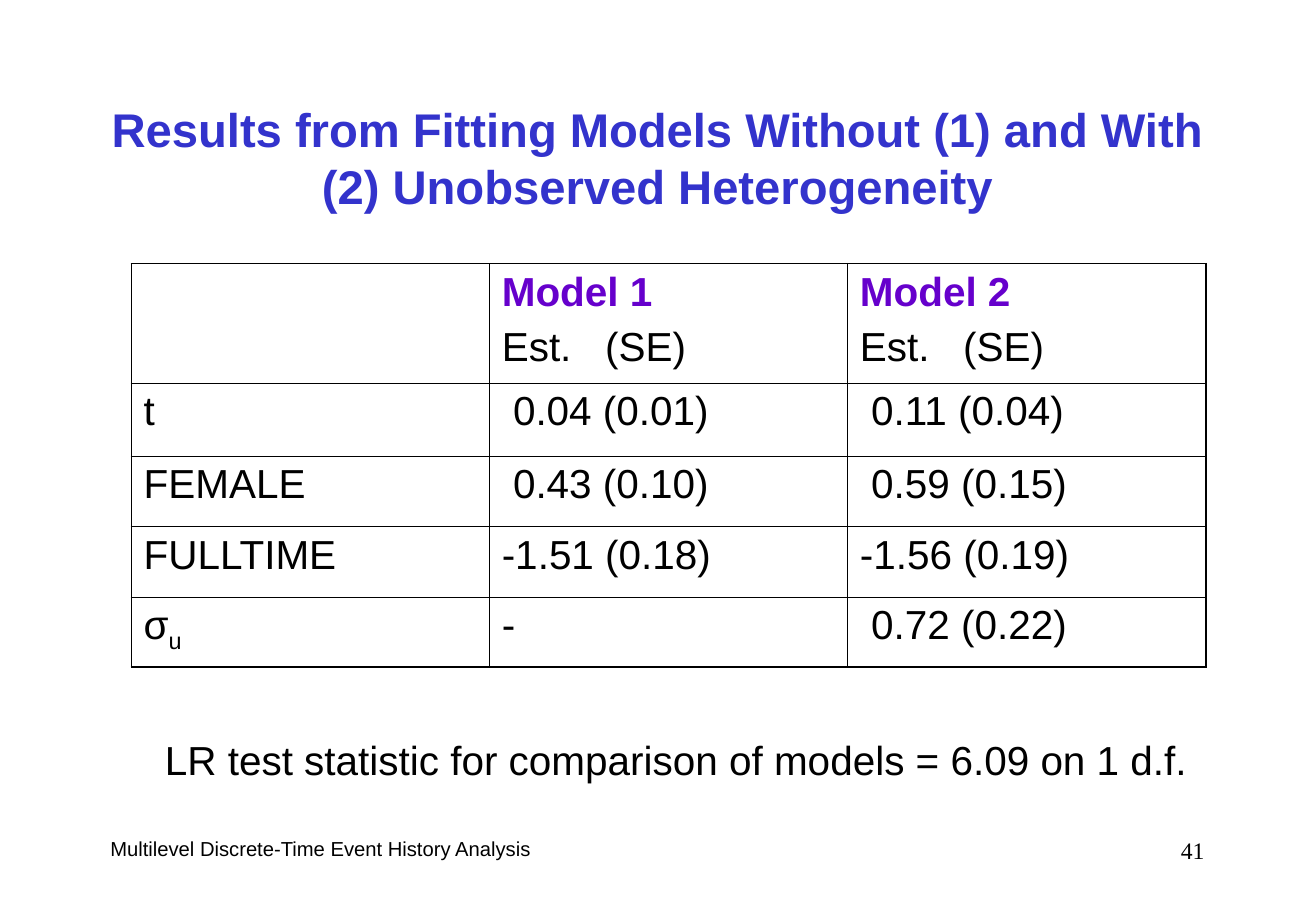
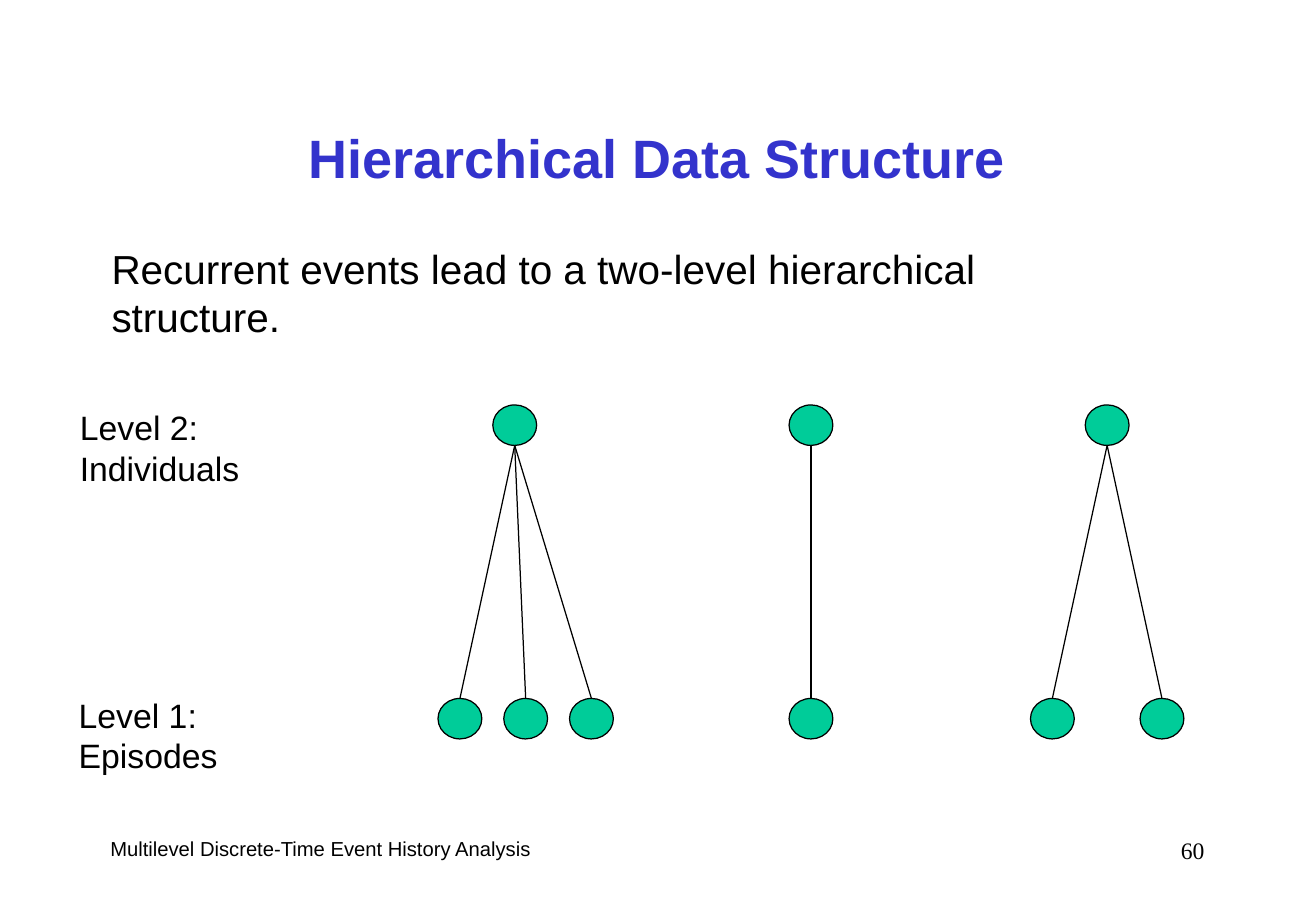
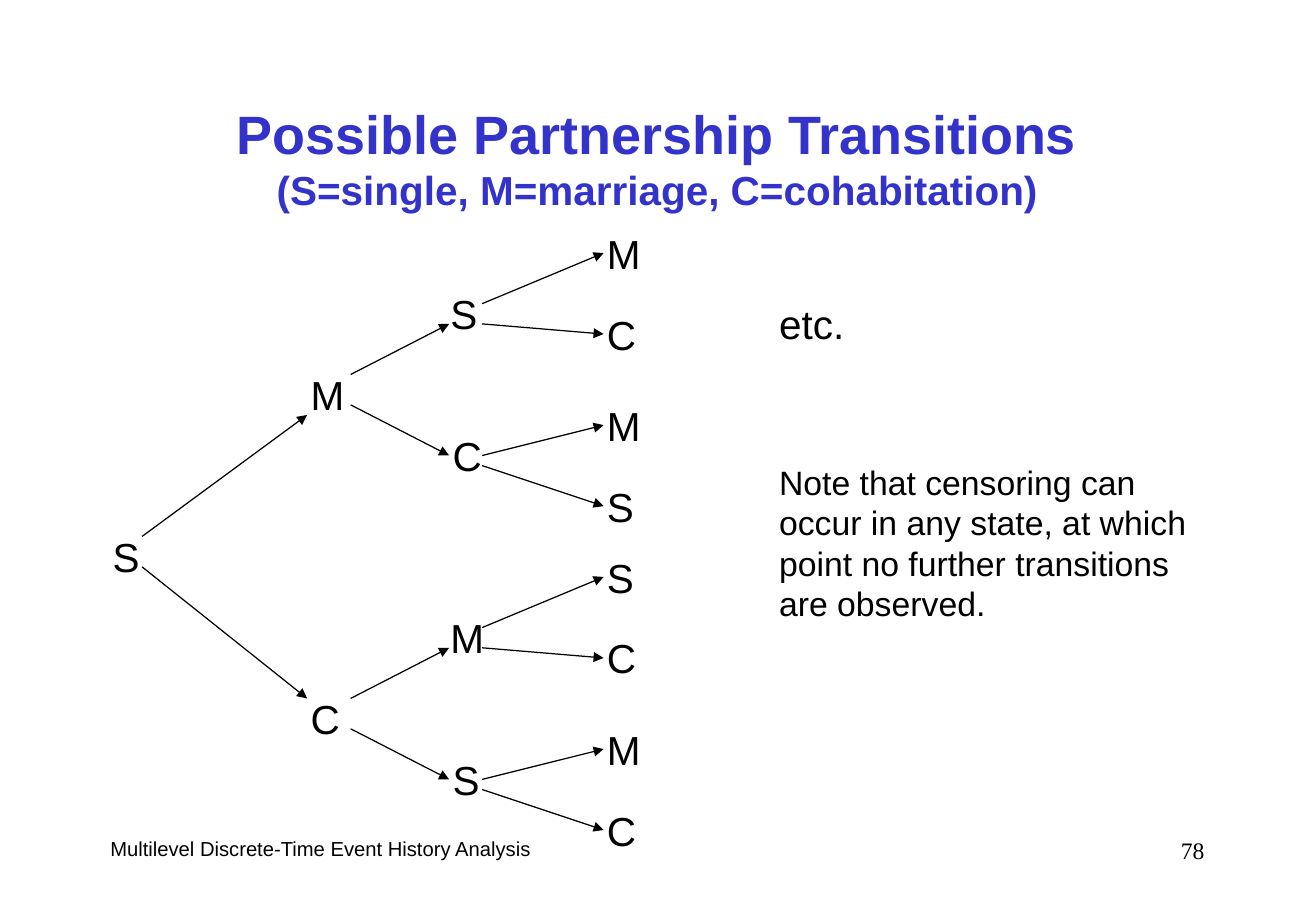
"""Build three slides on multilevel discrete-time event history analysis."""
from dataclasses import dataclass
from typing import Any, NamedTuple

from lxml import etree
from pptx import Presentation
from pptx import slide as sl
from pptx.dml.color import RGBColor
from pptx.enum import shapes, text
from pptx.oxml import ns
from pptx.util import Pt

BLACK = RGBColor(0x00, 0x00, 0x00)
BLUE = RGBColor(0x33, 0x33, 0xCC)
PURPLE = RGBColor(0x66, 0x00, 0xCC)
GREEN = RGBColor(0x00, 0xCC, 0x99)
LEFT, MID, RIGHT = text.PP_ALIGN.LEFT, text.PP_ALIGN.CENTER, text.PP_ALIGN.RIGHT
INSET = {"margin_left": Pt(7.2), "margin_right": Pt(7.2),
         "margin_top": Pt(3.6), "margin_bottom": Pt(3.6)}
THIN, THICK = 0.45, 1.08


class Style(NamedTuple):
    """Look of a run of text."""
    size: float
    color: RGBColor = BLACK
    bold: bool = False
    font: str = "Arial"
    base: int = 0


class Box(NamedTuple):
    """Left, top, width and height in points."""
    left: float
    top: float
    width: float
    height: float


class Run(NamedTuple):
    """Words with one style."""
    words: str
    style: Style


class Arrow(NamedTuple):
    """Start and end of an arrow in points."""
    x1: float
    y1: float
    x2: float
    y2: float


@dataclass(frozen=True)
class Label:
    """Words in a box of their own."""
    words: str
    box: Box
    style: Style
    align: Any = LEFT
    wrap: bool = True


@dataclass(frozen=True)
class Branch:
    """Upper or lower half of the transition tree."""
    top: float
    root: str
    mids: str
    leaves: str


@dataclass(frozen=True)
class Person:
    """An individual and the offsets of the episodes below."""
    x: float
    kids: tuple[float, ...]


BODY, NOTE = Style(24), Style(20)
HEAD = Style(32, BLUE, True)
SMALL = Style(24, BLUE, True)
MODEL = Style(24, PURPLE, True)
TITLE = Box(58.32, 48, 663, 90)
FOOT = Label("Multilevel Discrete-Time Event History Analysis",
             Box(58.32, 492, 455, 36), Style(12))
PAGE = Box(558.72, 492, 162.72, 36)

WIDTHS = (212.4, 212.4, 212.4)
HEIGHTS = (70.56, 43.2, 41.76, 41.76, 41.76)
EST = [[Run("Model {}", MODEL)], [Run("Est.   (SE)", BODY)]]
ROWS = (
    ("t", " 0.04 (0.01)", " 0.11 (0.04)"),
    ("FEMALE", " 0.43 (0.10)", " 0.59 (0.15)"),
    ("FULLTIME", "-1.51 (0.18)", "-1.56 (0.19)"),
    ("σ", "-", " 0.72 (0.22)"),
)

DOT_W, DOT_H, UPPER, LOWER = 26, 24, 240, 414
PEOPLE = (Person(305.28, (-32.5, 6.5, 45.5)), Person(480.96, (0,)),
          Person(656.64, (-32.5, 32.5)))

WIDE = {"S": 30.24, "C": 31.68, "M": 34.56}
MIDS = ((260, -48), (261.4, 36))
LEAVES = (-84, -36, 18, 66)
ARROWS = (
    Arrow(208, 6, 266.4, -24), Arrow(208, 24, 266.4, 54),
    Arrow(286, -36, 358, -66), Arrow(286, -24, 358, -18),
    Arrow(286, 54, 358, 36), Arrow(286, 60, 358, 84),
)
STEMS = (Arrow(84.24, 318, 182.16, 246), Arrow(84.24, 336, 182.16, 414))
HALVES = (Branch(216, "M", "SC", "MCMS"), Branch(408, "C", "MS", "SCMC"))


def put(item: Any, vals: dict[str, Any]) -> None:
    """Set attributes from a dict."""
    for name, val in vals.items():
        setattr(item, name, val)


def pts(*vals: float) -> list[Pt]:
    """Turn numbers into lengths in points."""
    return [Pt(v) for v in vals]


def write(para: Any, runs: list[Run]) -> None:
    """Add styled runs to a paragraph; a newline becomes a line break."""
    for words, style in runs:
        if words == "\n":
            para.add_line_break()
            continue
        run = para.add_run()
        run.text = words
        put(run.font, {"size": Pt(style.size), "bold": style.bold, "name": style.font})
        run.font.color.rgb = style.color
        if style.base:
            run.font._element.set("baseline", str(style.base))


def frame(page: sl.Slide, box: Box, runs: list[Run], align: Any = LEFT,
          wrap: bool = True, anchor: Any = text.MSO_ANCHOR.TOP) -> None:
    """Draw a text box with one paragraph."""
    body = page.shapes.add_textbox(*pts(*box)).text_frame
    put(body, {**INSET, "word_wrap": wrap, "vertical_anchor": anchor})
    body.paragraphs[0].alignment = align
    write(body.paragraphs[0], runs)


def label(page: sl.Slide, item: Label) -> None:
    """Draw a label."""
    frame(page, item.box, [Run(item.words, item.style)], item.align, item.wrap)


def start(deck: Any, number: int, title: list[Run]) -> sl.Slide:
    """Add a slide with footer, number and title."""
    page = deck.slides.add_slide(deck.slide_layouts[6])
    label(page, FOOT)
    label(page, Label(str(number), PAGE, Style(14, font="Times New Roman"), RIGHT))
    frame(page, TITLE, title, MID, anchor=text.MSO_ANCHOR.MIDDLE)
    return page


def line(page: sl.Slide, ends: Arrow, head: bool = False) -> Any:
    """Draw a thin black line, with an arrowhead if asked."""
    link = page.shapes.add_connector(shapes.MSO_CONNECTOR.STRAIGHT, *pts(*ends))
    link.line.width = Pt(0.75)
    link.line.color.rgb = BLACK
    props = link._element.spPr
    if head:
        etree.SubElement(props.find(ns.qn("a:ln")), ns.qn("a:tailEnd"), type="triangle")
    etree.SubElement(props, ns.qn("a:effectLst"))
    return link


def dot(page: sl.Slide, x: float, top: float) -> Any:
    """Draw a green circle centred on x."""
    oval = page.shapes.add_shape(shapes.MSO_SHAPE.OVAL,
                                 *pts(x - DOT_W / 2, top, DOT_W, DOT_H))
    oval.shadow.inherit = False
    oval.fill.solid()
    oval.fill.fore_color.rgb = GREEN
    oval.line.color.rgb = BLACK
    oval.line.width = Pt(0.75)
    return oval


def edge(cell: Any, sides: dict[str, float]) -> None:
    """Give a cell its borders and no fill."""
    props = cell._tc.get_or_add_tcPr()
    for side, width in sides.items():
        rule = etree.SubElement(props, ns.qn(f"a:ln{side}"), w=str(Pt(width)))
        fill = etree.SubElement(rule, ns.qn("a:solidFill"))
        etree.SubElement(fill, ns.qn("a:srgbClr"), val=str(BLACK))
    cell.fill.background()


def content(row: int, col: int) -> list[list[Run]]:
    """Return the paragraphs of a table cell."""
    if row == 0:
        return [[Run(r.words.format(col), r.style) for r in p] for p in EST] if col else []
    runs = [Run(ROWS[row - 1][col], BODY)]
    if runs[0].words == "σ":
        runs.append(Run("u", BODY._replace(base=-25000)))
    return [runs]


def results(deck: Any) -> None:
    """Draw the table of model results."""
    page = start(deck, 41, [Run("Results from Fitting Models Without (1) and With "
                                "(2) Unobserved Heterogeneity", HEAD._replace(size=28))])
    rows, cols = len(HEIGHTS), len(WIDTHS)
    grid = page.shapes.add_table(
        rows, cols, *pts(78, 156.24, sum(WIDTHS), sum(HEIGHTS))).table
    put(grid, {"first_row": False, "horz_banding": False})
    for col, width in zip(grid.columns, WIDTHS):
        col.width = Pt(width)
    for row, height in zip(grid.rows, HEIGHTS):
        row.height = Pt(height)
    for r in range(rows):
        for c in range(cols):
            cell = grid.cell(r, c)
            put(cell, INSET)
            thick = {"L": c == 0, "R": c == cols - 1,
                     "T": r == 0 and c > 0, "B": r == rows - 1}
            edge(cell, {s: THICK if t else THIN for s, t in thick.items()})
            for i, runs in enumerate(content(r, c)):
                body = cell.text_frame
                para = body.add_paragraph() if i else body.paragraphs[0]
                para.space_before = Pt(6)
                write(para, runs)
    label(page, Label("LR test statistic for comparison of models = 6.09 on 1 d.f.",
                      Box(90.72, 432, 620.64, 36), BODY, wrap=False))


def levels(deck: Any) -> None:
    """Draw individuals with their episodes."""
    page = start(deck, 60, [Run("Hierarchical Data Structure", HEAD)])
    for item in (
        Label("Recurrent events lead to a two-level hierarchical structure.",
              Box(59.04, 141, 632.88, 36), BODY, wrap=False),
        Label("Level 2: Individuals", Box(40.32, 237.6, 184.32, 31.68), NOTE, wrap=False),
        Label("Level 1: Episodes", Box(39.6, 408.24, 172.08, 31.68), NOTE, wrap=False),
    ):
        label(page, item)
    for one in PEOPLE:
        dot(page, one.x, UPPER)
        for shift in one.kids:
            kid = dot(page, one.x + shift, LOWER)
            link = line(page, Arrow(one.x, UPPER + DOT_H, one.x + shift, LOWER))
            link.end_connect(kid, 0)


def node(page: sl.Slide, name: str, left: float, top: float) -> None:
    """Draw the letter of a state."""
    label(page, Label(name, Box(left, top, WIDE[name], 36), BODY))


def branch(page: sl.Slide, half: Branch) -> None:
    """Draw one half of the tree."""
    node(page, half.root, 177.12, half.top)
    for name, (left, drop) in zip(half.mids, MIDS):
        node(page, name, left, half.top + drop)
    for name, drop in zip(half.leaves, LEAVES):
        node(page, name, 352.8, half.top + drop)
    for a in ARROWS:
        line(page, a._replace(y1=a.y1 + half.top, y2=a.y2 + half.top), True)


def paths(deck: Any) -> None:
    """Draw the tree of partnership transitions."""
    page = start(deck, 78, [Run("Possible Partnership Transitions", HEAD), Run("\n", HEAD),
                            Run("(S=single, M=marriage, C=cohabitation)", SMALL)])
    node(page, "S", 59.76, 312)
    for half in HALVES:
        branch(page, half)
    for stem in STEMS:
        line(page, stem, True)
    label(page, Label("etc.", Box(455, 174, 57.6, 36), BODY))
    label(page, Label("Note that censoring can occur in any state, at which point "
                      "no further transitions are observed.",
                      Box(455, 270, 266.4, 103.68), NOTE))


def main() -> None:
    """Build and save the deck."""
    deck = Presentation()
    put(deck, {"slide_width": Pt(780.48), "slide_height": Pt(540)})
    for draw in (results, levels, paths):
        draw(deck)
    deck.save("out.pptx")


if __name__ == "__main__":
    main()
